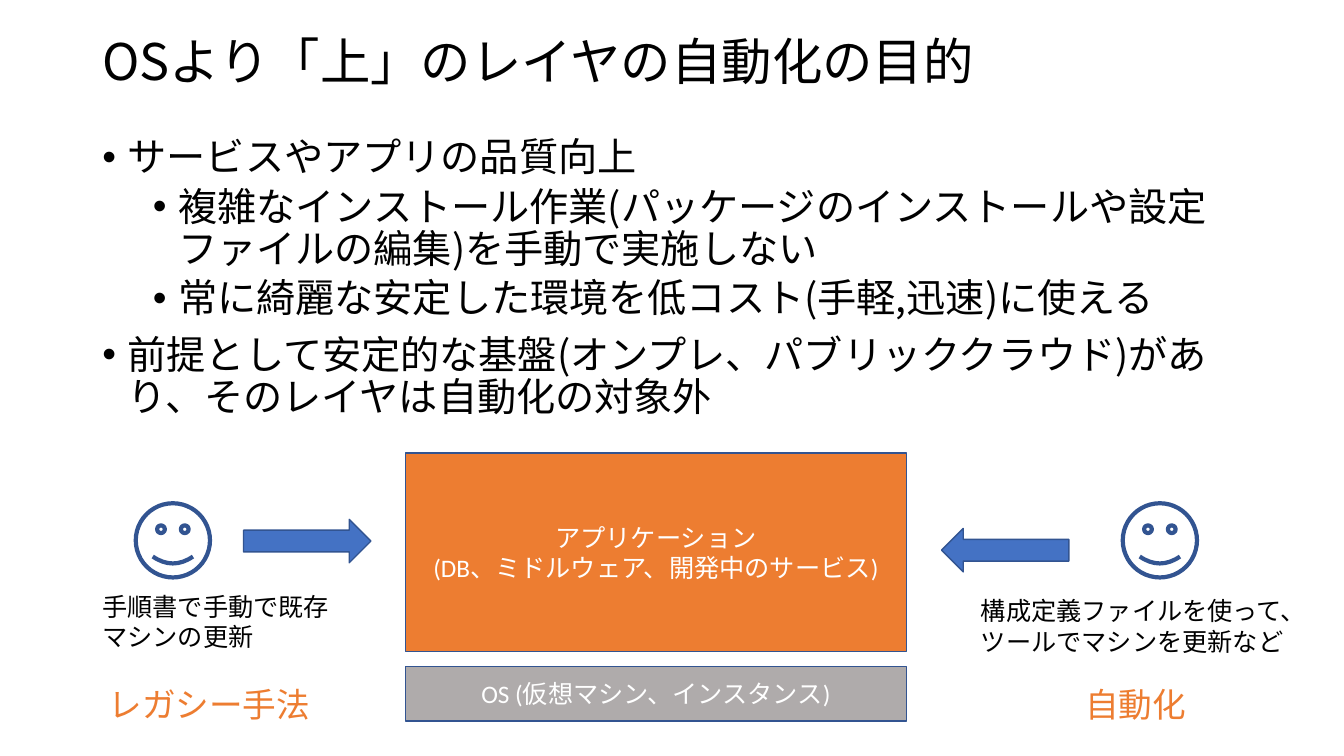
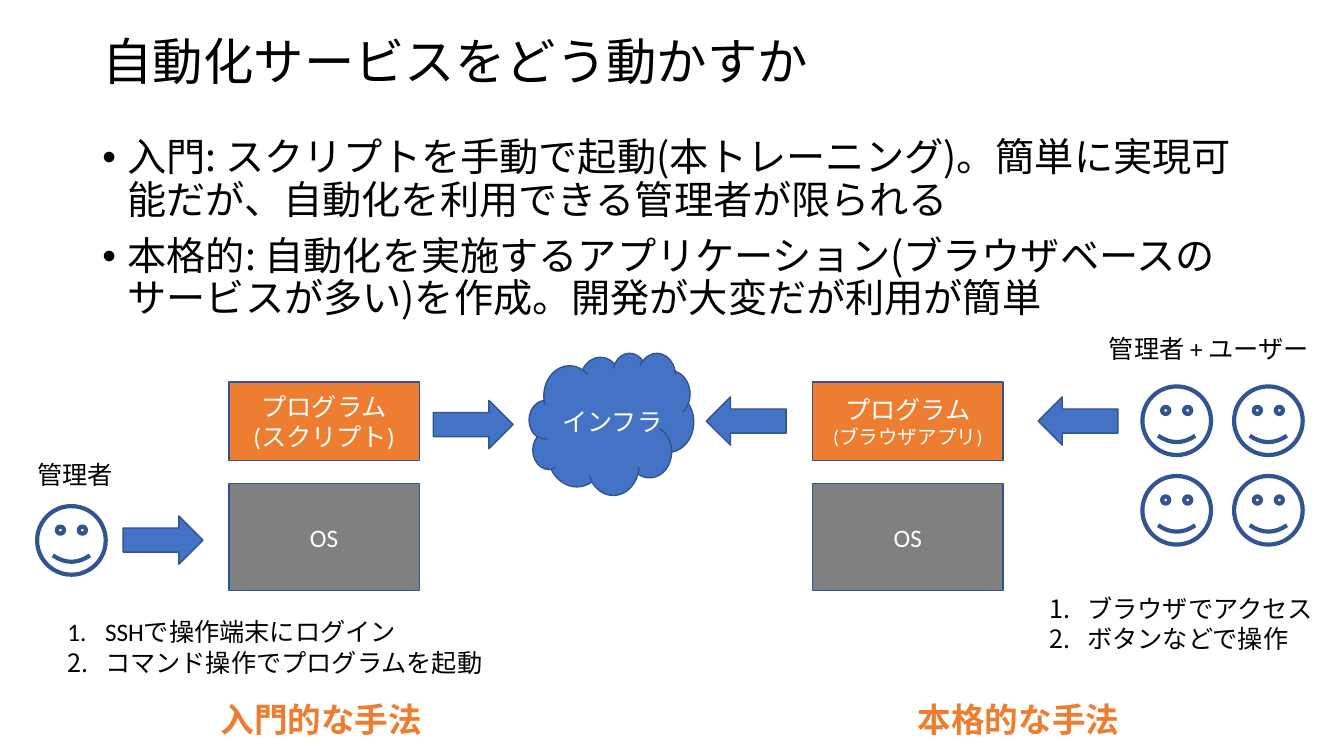
from dataclasses import dataclass
from itertools import product
from typing import Any, Optional

from lxml.etree import SubElement
from pptx import Presentation
from pptx.dml.color import RGBColor
from pptx.enum.shapes import MSO_SHAPE
from pptx.enum.text import MSO_ANCHOR, MSO_AUTO_SIZE, PP_ALIGN
from pptx.oxml.ns import qn
from pptx.util import Pt

# Shared colours and fonts
BLACK, WHITE = "000000", "FFFFFF"
BLUE, OUTLINE = "4472C4", "325491"
ORANGE, LIGHT_GRAY, GRAY = "ED7D31", "AFABAB", "808080"
LATIN_FONT, JAPANESE_FONT = "Calibri", "Noto Sans CJK JP"

# Shared placements and formats, lengths in points
TITLE_PLACE = (66, 14, 828, 64)
BODY_PLACE = (66, 95, 828, 431)
TITLE_FORMAT = {"name": JAPANESE_FONT, "size": Pt(36), "bold": False}
BODY_FORMAT = {"name": JAPANESE_FONT, "size": Pt(28)}
LABEL_FORMAT = {"name": LATIN_FONT, "size": Pt(18)}
CAPTION_FORMAT = {"name": LATIN_FONT, "size": Pt(24)}
BOLD_CAPTION_FORMAT = {**CAPTION_FORMAT, "bold": True}
SMALL_FORMAT = {**LABEL_FORMAT, "size": Pt(14)}
BULLET_INDENT, NUMBER_INDENT = 18, 27


@dataclass(frozen=True)
class Bullet:
    text: str
    level: int = 0


@dataclass(frozen=True)
class Box:
    place: tuple[float, float, float, float]
    fill: str
    lines: tuple[str, ...]
    last_format: Optional[dict[str, Any]] = None


@dataclass(frozen=True)
class Arrow:
    place: tuple[float, float, float, float]
    rotation: float = 0


@dataclass(frozen=True)
class Label:
    place: tuple[float, float, float, float]
    lines: tuple[str, ...]
    format: dict[str, Any]
    color: str = BLACK
    numbered: bool = False
    wrap: bool = False


def color_of(value: str) -> RGBColor:
    return RGBColor.from_string(value)


def set_all(target: Any, values: dict[str, Any]) -> None:
    for name, value in values.items():
        setattr(target, name, value)


def move(shape: Any, place: tuple[float, float, float, float]) -> None:
    set_all(shape, dict(zip(("left", "top", "width", "height"), map(Pt, place))))


def add_run(paragraph: Any, text: str, values: dict[str, Any], color: str) -> None:
    run = paragraph.add_run()
    run.text = text
    set_all(run.font, values)
    run.font.color.rgb = color_of(color)
    SubElement(run.font._element, qn("a:ea"), typeface=JAPANESE_FONT)


def set_marker(paragraph: Any, margin: float, hanging: float, tag: str, **values: str) -> None:
    properties = paragraph._p.get_or_add_pPr()
    properties.set("marL", str(Pt(margin)))
    properties.set("indent", str(-Pt(hanging)))
    SubElement(properties, qn("a:buFont"), typeface="Arial" if tag == "a:buChar" else "+mj-lt")
    SubElement(properties, qn(tag), **values)


def paragraph_at(frame: Any, index: int) -> Any:
    return frame.add_paragraph() if index else frame.paragraphs[0]


def add_content_slide(presentation: Any, title: str, bullets: list[Bullet]) -> Any:
    slide = presentation.slides.add_slide(presentation.slide_layouts[1])
    # Title
    heading = slide.shapes.title
    move(heading, TITLE_PLACE)
    set_all(heading.text_frame, {"vertical_anchor": MSO_ANCHOR.MIDDLE,
                                 "auto_size": MSO_AUTO_SIZE.NONE})
    paragraph = heading.text_frame.paragraphs[0]
    set_all(paragraph, {"alignment": PP_ALIGN.LEFT, "line_spacing": 0.9})
    add_run(paragraph, title, TITLE_FORMAT, BLACK)
    # Bulleted list
    body = slide.placeholders[1]
    move(body, BODY_PLACE)
    body.text_frame.auto_size = MSO_AUTO_SIZE.NONE
    for index, bullet in enumerate(bullets):
        paragraph = paragraph_at(body.text_frame, index)
        set_all(paragraph, {"level": bullet.level, "line_spacing": 0.9,
                            "space_before": Pt(5 if bullet.level else 10)})
        set_marker(paragraph, BULLET_INDENT + 36 * bullet.level, BULLET_INDENT,
                   "a:buChar", char="•")
        add_run(paragraph, bullet.text, BODY_FORMAT, BLACK)
    return slide


def add_figure(slide: Any, kind: MSO_SHAPE, place: tuple[float, float, float, float],
               fill: Optional[str] = BLUE, line_width: float = 1) -> Any:
    shape = slide.shapes.add_shape(kind, *map(Pt, place))
    shape.shadow.inherit = False
    if fill:
        shape.fill.solid()
        shape.fill.fore_color.rgb = color_of(fill)
    else:
        shape.fill.background()
    shape.line.color.rgb = color_of(OUTLINE)
    shape.line.width = Pt(line_width)
    return shape


def add_face(slide: Any, left: float, top: float, size: float) -> None:
    add_figure(slide, MSO_SHAPE.SMILEY_FACE, (left, top, size, size), None, 3)


def add_arrow(slide: Any, arrow: Arrow) -> None:
    add_figure(slide, MSO_SHAPE.RIGHT_ARROW, arrow.place).rotation = arrow.rotation


def add_box(slide: Any, box: Box) -> None:
    frame = add_figure(slide, MSO_SHAPE.RECTANGLE, box.place, box.fill).text_frame
    set_all(frame, {"word_wrap": True, "vertical_anchor": MSO_ANCHOR.MIDDLE})
    for index, text in enumerate(box.lines):
        paragraph = paragraph_at(frame, index)
        paragraph.alignment = PP_ALIGN.CENTER
        is_last = index == len(box.lines) - 1
        values = box.last_format if is_last and box.last_format else LABEL_FORMAT
        add_run(paragraph, text, values, WHITE)


def add_label(slide: Any, label: Label) -> None:
    frame = slide.shapes.add_textbox(*map(Pt, label.place)).text_frame
    set_all(frame, {"word_wrap": label.wrap, "auto_size": MSO_AUTO_SIZE.SHAPE_TO_FIT_TEXT})
    for index, text in enumerate(label.lines):
        paragraph = paragraph_at(frame, index)
        if label.numbered:
            set_marker(paragraph, NUMBER_INDENT, NUMBER_INDENT,
                       "a:buAutoNum", type="arabicPeriod")
        add_run(paragraph, text, label.format, label.color)


def build_purpose_slide(presentation: Any) -> None:
    slide = add_content_slide(presentation, "OSより「上」のレイヤの自動化の目的", [
        Bullet("サービスやアプリの品質向上"),
        Bullet("複雑なインストール作業(パッケージのインストールや設定ファイルの編集)を手動で実施しない", 1),
        Bullet("常に綺麗な安定した環境を低コスト(手軽,迅速)に使える", 1),
        Bullet("前提として安定的な基盤(オンプレ、パブリッククラウド)があり、そのレイヤは自動化の対象外"),
    ])
    # Application stack
    for box in (
        Box((289.5, 323.5, 358, 142), ORANGE,
            ("アプリケーション", "(DB、ミドルウェア、開発中のサービス)")),
        Box((289.5, 476, 358, 39), LIGHT_GRAY, ("OS (仮想マシン、インスタンス)",)),
    ):
        add_box(slide, box)
    # People and their arrows
    for left in (97, 802):
        add_face(slide, left, 359.5, 53)
    for arrow in (Arrow((174, 371, 91, 31)), Arrow((672.5, 377.5, 91, 31), 180)):
        add_arrow(slide, arrow)
    # Explanations and captions
    for label in (
        Label((66, 418.5, 178, 51), ("手順書で手動で既存", "マシンの更新"), LABEL_FORMAT),
        Label((693.5, 422, 250.5, 51),
              ("構成定義ファイルを使って、", "ツールでマシンを更新など"), LABEL_FORMAT),
        Label((70.5, 485, 160, 36), ("レガシー手法",), CAPTION_FORMAT, ORANGE),
        Label((768, 485, 87, 36), ("自動化",), CAPTION_FORMAT, ORANGE),
    ):
        add_label(slide, label)


def build_operation_slide(presentation: Any) -> None:
    slide = add_content_slide(presentation, "自動化サービスをどう動かすか", [
        Bullet("入門: スクリプトを手動で起動(本トレーニング)。簡単に実現可能だが、自動化を利用できる管理者が限られる"),
        Bullet("本格的: 自動化を実施するアプリケーション(ブラウザベースのサービスが多い)を作成。開発が大変だが利用が簡単"),
    ])
    # Program on top of the OS, once for each method
    for left, program, program_format in ((163.5, "(スクリプト)", LABEL_FORMAT),
                                          (580.5, "(ブラウザアプリ)", SMALL_FORMAT)):
        add_box(slide, Box((left, 273, 136, 56), ORANGE, ("プログラム", program), program_format))
        add_box(slide, Box((left, 345.5, 136, 76.5), GRAY, ("OS",)))
    # Infrastructure
    add_figure(slide, MSO_SHAPE.CLOUD, (378, 252, 117.5, 101.5))
    # One administrator on the left, a grid of users on the right
    add_face(slide, 26.5, 361.5, 49)
    for row, column in product(range(2), repeat=2):
        add_face(slide, 816 + 65.5 * column, 276 + 64 * row, 49)
    # Arrows
    for left, top, rotation in ((88, 368.5, 0), (309.5, 286, 0),
                                (504.5, 283.5, 180), (741.5, 283.5, 180)):
        add_arrow(slide, Arrow((left, top, 57, 34.5), rotation))
    # Names, steps and captions
    for label in (
        Label((19.5, 324.5, 69, 29), ("管理者",), LABEL_FORMAT),
        Label((785, 234.5, 159, 29), ("管理者 + ユーザー",), LABEL_FORMAT, wrap=True),
        Label((394.5, 286.5, 87, 29), ("インフラ",), LABEL_FORMAT, WHITE),
        Label((41, 437, 314.5, 51),
              ("SSHで操作端末にログイン", "コマンド操作でプログラムを起動"), LABEL_FORMAT, numbered=True),
        Label((742.5, 420, 205, 51),
              ("ブラウザでアクセス", "ボタンなどで操作"), LABEL_FORMAT, numbered=True),
        Label((150.5, 496, 160.5, 36), ("入門的な手法",), BOLD_CAPTION_FORMAT, ORANGE),
        Label((648.5, 496, 160.5, 36), ("本格的な手法",), BOLD_CAPTION_FORMAT, ORANGE),
    ):
        add_label(slide, label)


def main() -> None:
    presentation = Presentation()
    set_all(presentation, {"slide_width": Pt(960), "slide_height": Pt(540)})
    build_purpose_slide(presentation)
    build_operation_slide(presentation)
    presentation.save("out.pptx")


if __name__ == "__main__":
    main()
